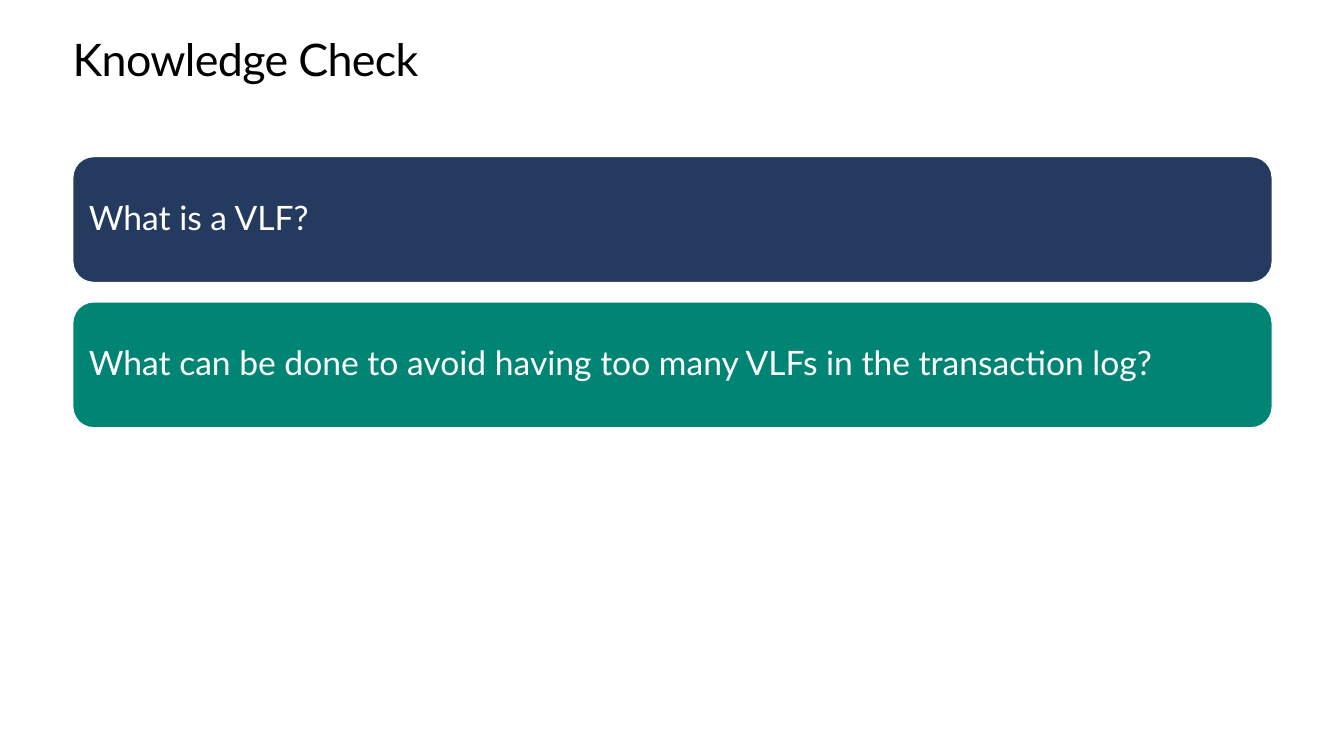
from pptx import Presentation
from pptx.dml.color import RGBColor
from pptx.enum import shapes, text
from pptx.util import Pt

TITLE = "Knowledge Check"
QUESTIONS = [
    ("What is a VLF?", "243A5E"),
    ("What can be done to avoid having too many VLFs in the transaction log?", "008575"),
]
LEFT, WIDTH = 52, 856.8
TITLE_TOP, TITLE_HEIGHT = 25.2, 36
CARD_TOP, CARD_HEIGHT, CARD_STEP = 111.8, 90, 103.8


def color(hex_code):
    return RGBColor.from_string(hex_code)


def write(box, words, size, hex_code, spacing, inset, anchor):
    """Fill a box with one left-aligned paragraph and return its run."""
    frame = box.text_frame
    layout = {"word_wrap": True, "vertical_anchor": anchor}
    for side in ("left", "right", "top", "bottom"):
        layout[f"margin_{side}"] = Pt(inset)
    for name, value in layout.items():
        setattr(frame, name, value)
    para = frame.paragraphs[0]
    para.alignment = text.PP_ALIGN.LEFT
    para.line_spacing = spacing
    span = para.add_run()
    span.text = words
    for name, value in {"name": "Lato", "size": Pt(size)}.items():
        setattr(span.font, name, value)
    span.font.color.rgb = color(hex_code)
    return span


def add_card(page, top, question, fill):
    card = page.shapes.add_shape(
        shapes.MSO_SHAPE.ROUNDED_RECTANGLE,
        Pt(LEFT), Pt(top), Pt(WIDTH), Pt(CARD_HEIGHT))
    card.shadow.inherit = False
    card.fill.solid()
    card.fill.fore_color.rgb = color(fill)
    card.line.color.rgb = color("FFFFFF")
    card.line.width = Pt(1)
    write(card, question, 24, "FFFFFF", 0.9, 7.2, text.MSO_ANCHOR.MIDDLE)


def main():
    deck = Presentation()
    deck.slide_width, deck.slide_height = Pt(960), Pt(540)
    page = deck.slides.add_slide(deck.slide_layouts[6])

    title = page.shapes.add_textbox(
        Pt(LEFT), Pt(TITLE_TOP), Pt(WIDTH), Pt(TITLE_HEIGHT))
    span = write(title, TITLE, 32, "000000", Pt(36.2), 0, text.MSO_ANCHOR.TOP)
    span.font._element.set("spc", "-50")

    for index, (question, fill) in enumerate(QUESTIONS):
        add_card(page, CARD_TOP + index * CARD_STEP, question, fill)

    deck.save("out.pptx")


if __name__ == "__main__":
    main()
